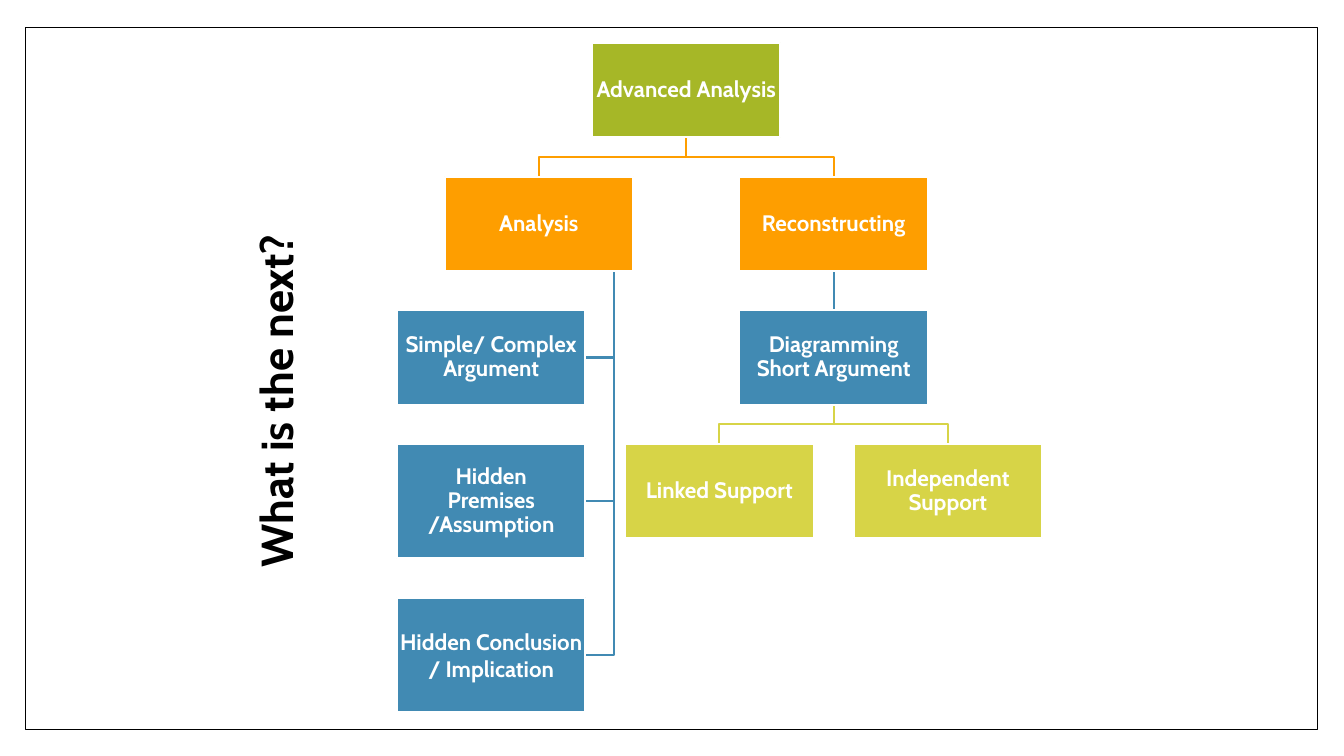
from pptx import Presentation
from pptx.dml.color import RGBColor
from pptx.enum.shapes import MSO_CONNECTOR, MSO_SHAPE
from pptx.enum.text import MSO_ANCHOR, PP_ALIGN
from pptx.oxml.ns import qn
from pptx.util import Cm, Pt
from lxml.etree import SubElement

# Content
TITLE = "What is the next?"
ROOT = "Advanced Analysis"
LEFT, RIGHT = "Analysis", "Reconstructing"
STACK = ["Simple/ Complex Argument", "Hidden Premises /Assumption",
         "Hidden Conclusion / Implication"]
DIAGRAM = "Diagramming Short Argument"
LEAVES = ["Linked Support", "Independent Support"]

COLORS = {"white": "FFFFFF", "black": "000000", "green": "A6B727",
          "orange": "FE9E00", "blue": "418AB3", "lime": "D7D447"}
FONT = {"name": "Cabin", "bold": True}
INSETS = ("margin_left", "margin_right", "margin_top", "margin_bottom")

# Layout in centimetres
WIDE, HIGH, TALL, GAP, TOP = 4.75, 2.38, 2.88, 0.99, 1.08
ROWS = [TOP + i * (HIGH + GAP) for i in range(4)]
LEFT_X, RIGHT_X = 13.58, 21.01
ROOT_X = (LEFT_X + RIGHT_X) / 2
STACK_X = 12.38
LEAF_X = [RIGHT_X - 2.88, RIGHT_X + 2.88]
STEM_X = LEFT_X + 0.4 * WIDE

prs = Presentation()
prs.slide_width, prs.slide_height = Cm(33.87), Cm(19.05)
slide = prs.slides.add_slide(prs.slide_layouts[6])
shapes = slide.shapes


def color(name):
    return RGBColor.from_string(COLORS[name])


def rect(x, y, w, h, fill, line, width):
    shape = shapes.add_shape(MSO_SHAPE.RECTANGLE, Cm(x), Cm(y), Cm(w), Cm(h))
    shape.shadow.inherit = False
    shape.fill.solid()
    shape.fill.fore_color.rgb = color(fill)
    shape.line.color.rgb = color(line)
    shape.line.width = Pt(width)
    return shape


def write(shape, text, size, ink, anchor, space=1.0):
    frame = shape.text_frame
    frame.word_wrap = True
    frame.vertical_anchor = anchor
    para = frame.paragraphs[0]
    para.alignment = PP_ALIGN.CENTER
    para.line_spacing = space
    run = para.add_run()
    run.text = text
    for key, val in {**FONT, "size": Pt(size)}.items():
        setattr(run.font, key, val)
    run.font.color.rgb = color(ink)
    return frame


def box(text, mid, y, fill, high=HIGH, space=0.9):
    shape = rect(mid - WIDE / 2, y, WIDE, high, fill, "white", 1.5)
    frame = write(shape, text, 16, "white", MSO_ANCHOR.MIDDLE, space)
    for side in INSETS:
        setattr(frame, side, Cm(0.03))
    return shape


def bend(points, tint):
    start, *rest = [(Cm(x), Cm(y)) for x, y in points]
    pen = shapes.build_freeform(*start)
    pen.add_line_segments(rest, close=False)
    shape = pen.convert_to_shape()
    shape.shadow.inherit = False
    shape.fill.background()
    shape.line.color.rgb = color(tint)
    shape.line.width = Pt(1.5)


def fork(mid, row, kids, tint):
    y = ROWS[row] + HIGH
    for kid in kids:
        bend([(mid, y), (mid, y + GAP / 2), (kid, y + GAP / 2),
              (kid, y + GAP)], tint)


# Frame
rect(0.64, 0.69, 32.56, 17.7, "white", "black", 1)

# Branch lines
fork(RIGHT_X, 2, LEAF_X, "lime")
fork(ROOT_X, 0, [LEFT_X, RIGHT_X], "orange")
link = shapes.add_connector(MSO_CONNECTOR.STRAIGHT, 0, 0, 0, 0)
link.line.color.rgb = color("blue")
link.line.width = Pt(1.5)
SubElement(link._element.spPr, qn("a:effectLst"))

# Stacked boxes hanging from one stem
y = ROWS[2]
for text, high, space in zip(STACK, (HIGH, TALL, TALL), (0.9, 0.9, 1.0)):
    mid = y + high / 2
    bend([(STEM_X, ROWS[1] + HIGH), (STEM_X, mid),
          (STACK_X + WIDE / 2, mid)], "blue")
    box(text, STACK_X, y, "blue", high, space)
    y += high + GAP

# Tree boxes
box(ROOT, ROOT_X, ROWS[0], "green")
box(LEFT, LEFT_X, ROWS[1], "orange")
upper = box(RIGHT, RIGHT_X, ROWS[1], "orange")
lower = box(DIAGRAM, RIGHT_X, ROWS[2], "blue")
link.begin_connect(upper, 2)
link.end_connect(lower, 0)
for text, mid in zip(LEAVES, LEAF_X):
    box(text, mid, ROWS[3], "lime")

# Upright title
title = shapes.add_textbox(Cm(4.34), Cm(2.51), Cm(3.4), Cm(15.19))
frame = write(title, TITLE, 32, "black", MSO_ANCHOR.BOTTOM)
frame._txBody.bodyPr.set("vert", "vert270")

prs.save("out.pptx")
